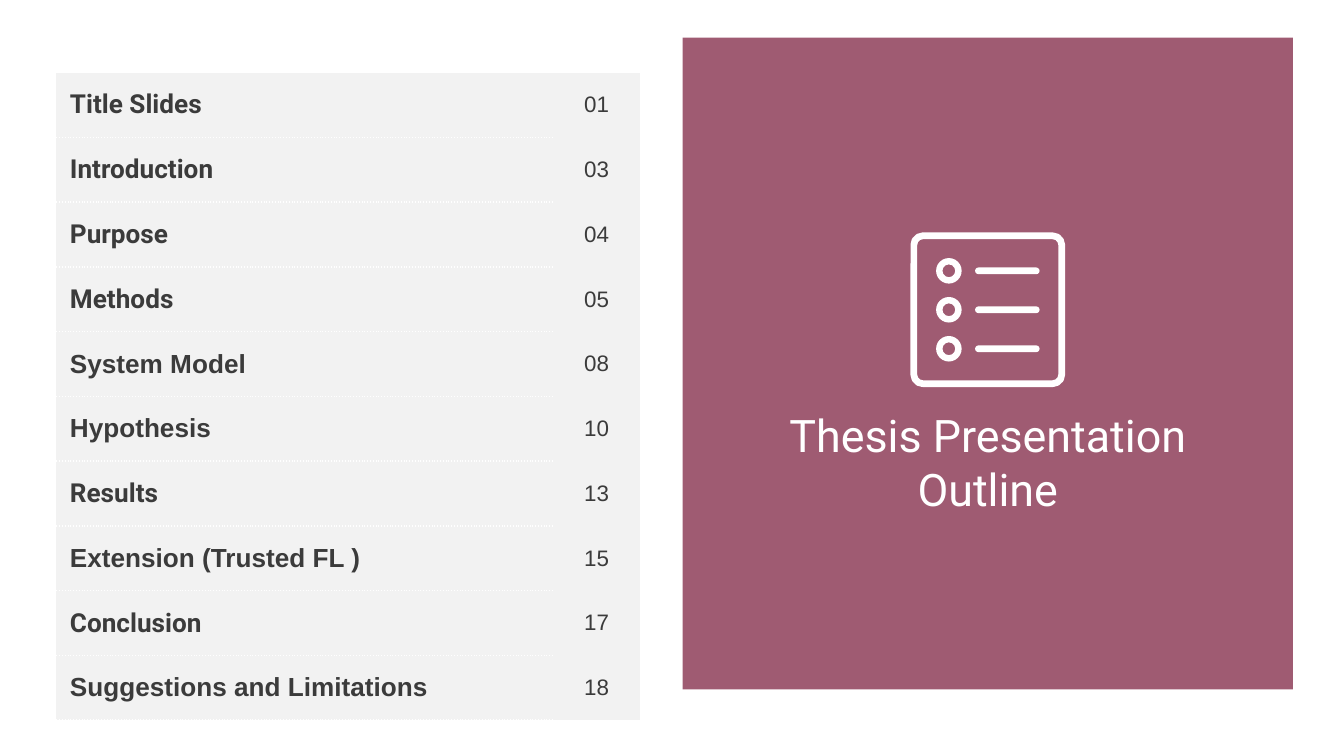
import dataclasses

import lxml.etree
import pptx
import pptx.dml.color
import pptx.enum.shapes
import pptx.enum.text
import pptx.oxml.ns
import pptx.util

Inches = pptx.util.Inches
SHAPES = pptx.enum.shapes.MSO_SHAPE
ALIGN = pptx.enum.text.PP_ALIGN
MIDDLE = pptx.enum.text.MSO_ANCHOR.MIDDLE
NO_GRID_STYLE = "{2D5ABB26-0587-4C30-8999-92F81FD0307C}"
SLIDE_WIDTH = 10
SLIDE_HEIGHT = SLIDE_WIDTH * 9 / 16


@dataclasses.dataclass(frozen=True)
class Theme:
    panel: str = "9F5B72"
    row: str = "F2F2F2"
    ink: str = "3B3B3B"
    white: str = "FFFFFF"
    heading_font: str = "Roboto"
    body_font: str = "Arial"
    title_size: int = 24
    topic_size: int = 14
    page_size: int = 12


THEME = Theme()
TOPICS = [
    ("Title Slides", "01", THEME.heading_font),
    ("Introduction", "03", THEME.heading_font),
    ("Purpose", "04", THEME.heading_font),
    ("Methods", "05", THEME.heading_font),
    ("System Model", "08", THEME.body_font),
    ("Hypothesis", "10", THEME.body_font),
    ("Results", "13", THEME.heading_font),
    ("Extension (Trusted FL )", "15", THEME.body_font),
    ("Conclusion", "17", THEME.heading_font),
    ("Suggestions and Limitations", "18", THEME.body_font),
]


def color(value):
    return pptx.dml.color.RGBColor.from_string(value)


def set_attributes(target, values):
    for name, value in values.items():
        setattr(target, name, value)


def write(frame, text, fill, align, **font):
    paragraph = frame.paragraphs[0]
    paragraph.alignment = align
    run = paragraph.add_run()
    run.text = text
    set_attributes(run.font, font)
    run.font.color.rgb = color(fill)


def add_filled(shapes, kind, left, top, width, height, fill):
    shape = shapes.add_shape(
        kind, Inches(left), Inches(top), Inches(width), Inches(height)
    )
    shape.shadow.inherit = False
    shape.fill.solid()
    shape.fill.fore_color.rgb = color(fill)
    shape.line.fill.background()
    return shape


def add_dotted_border(cell, side):
    """Draw a white dotted border; side is lnT or lnB (add lnB first)."""
    line = lxml.etree.Element(pptx.oxml.ns.qn(f"a:{side}"), w=str(pptx.util.Pt(1)))
    fill = lxml.etree.SubElement(line, pptx.oxml.ns.qn("a:solidFill"))
    lxml.etree.SubElement(fill, pptx.oxml.ns.qn("a:srgbClr"), val=THEME.white)
    lxml.etree.SubElement(line, pptx.oxml.ns.qn("a:prstDash"), val="dot")
    cell._tc.get_or_add_tcPr().insert(0, line)


def fill_cell(cell, text, align, **font):
    margins = ("margin_left", "margin_top", "margin_right", "margin_bottom")
    set_attributes(cell, dict.fromkeys(margins, Inches(0.1)))
    cell.vertical_anchor = MIDDLE
    cell.fill.solid()
    cell.fill.fore_color.rgb = color(THEME.row)
    write(cell.text_frame, text, THEME.ink, align, **font)


def add_contents(slide, left, top, width, height):
    page_width = 0.64
    table = slide.shapes.add_table(
        len(TOPICS), 2, Inches(left), Inches(top), Inches(width), Inches(height)
    ).table
    set_attributes(table, {"first_row": False, "horz_banding": False})
    table._tbl.tblPr.find(pptx.oxml.ns.qn("a:tableStyleId")).text = NO_GRID_STYLE
    table.columns[0].width = Inches(width - page_width)
    table.columns[1].width = Inches(page_width)
    for index, (topic, page, font_name) in enumerate(TOPICS):
        table.rows[index].height = Inches(height / len(TOPICS))
        topic_cell, page_cell = table.rows[index].cells
        fill_cell(topic_cell, topic, ALIGN.LEFT, name=font_name, bold=True,
                  size=pptx.util.Pt(THEME.topic_size))
        fill_cell(page_cell, page, ALIGN.CENTER, name=THEME.body_font, bold=False,
                  size=pptx.util.Pt(THEME.page_size))
        add_dotted_border(topic_cell, "lnB")
        if index:
            add_dotted_border(topic_cell, "lnT")


def add_list_icon(slide, left, top, size):
    """Draw a rounded frame holding three ring-and-bar lines."""
    shapes = slide.shapes.add_group_shape().shapes
    stroke, ring, bar, pitch = 0.05, 0.19, 0.48, 0.29
    frame = add_filled(shapes, SHAPES.ROUNDED_RECTANGLE, left + stroke / 2,
                       top + stroke / 2, size - stroke, size - stroke, THEME.white)
    frame.adjustments[0] = 0.06
    frame.fill.background()
    frame.line.color.rgb = color(THEME.white)
    frame.line.width = Inches(stroke)
    for index in range(3):
        center = top + size / 2 + (index - 1) * pitch
        donut = add_filled(shapes, SHAPES.DONUT, left + 0.19, center - ring / 2,
                           ring, ring, THEME.white)
        donut.adjustments[0] = 0.25
        line = add_filled(shapes, SHAPES.ROUNDED_RECTANGLE, left + 0.48,
                          center - stroke / 2, bar, stroke, THEME.white)
        line.adjustments[0] = 0.5


def add_title_panel(slide, left, top, width, height):
    add_filled(slide.shapes, SHAPES.RECTANGLE, left, top, width, height, THEME.panel)
    icon_size, title_width = 1.15, 3.67
    add_list_icon(slide, left + (width - icon_size) / 2, top + 1.45, icon_size)
    title = slide.shapes.add_textbox(
        Inches(left + (width - title_width) / 2), Inches(top + 2.75),
        Inches(title_width), Inches(0.81),
    ).text_frame
    set_attributes(title, {
        "word_wrap": True, "vertical_anchor": MIDDLE,
        "auto_size": pptx.enum.text.MSO_AUTO_SIZE.SHAPE_TO_FIT_TEXT,
        "margin_left": 0, "margin_top": 0, "margin_right": 0, "margin_bottom": 0,
    })
    write(title, "Thesis Presentation Outline", THEME.white, ALIGN.CENTER,
          name=THEME.heading_font, size=pptx.util.Pt(THEME.title_size))


def main():
    presentation = pptx.Presentation()
    set_attributes(presentation, {
        "slide_width": Inches(SLIDE_WIDTH), "slide_height": Inches(SLIDE_HEIGHT),
    })
    slide = presentation.slides.add_slide(presentation.slide_layouts[6])
    add_title_panel(slide, 5.08, 0.28, 4.54, 4.85)
    add_contents(slide, 0.42, 0.54, 4.34, 4.82)
    presentation.save("out.pptx")


if __name__ == "__main__":
    main()
